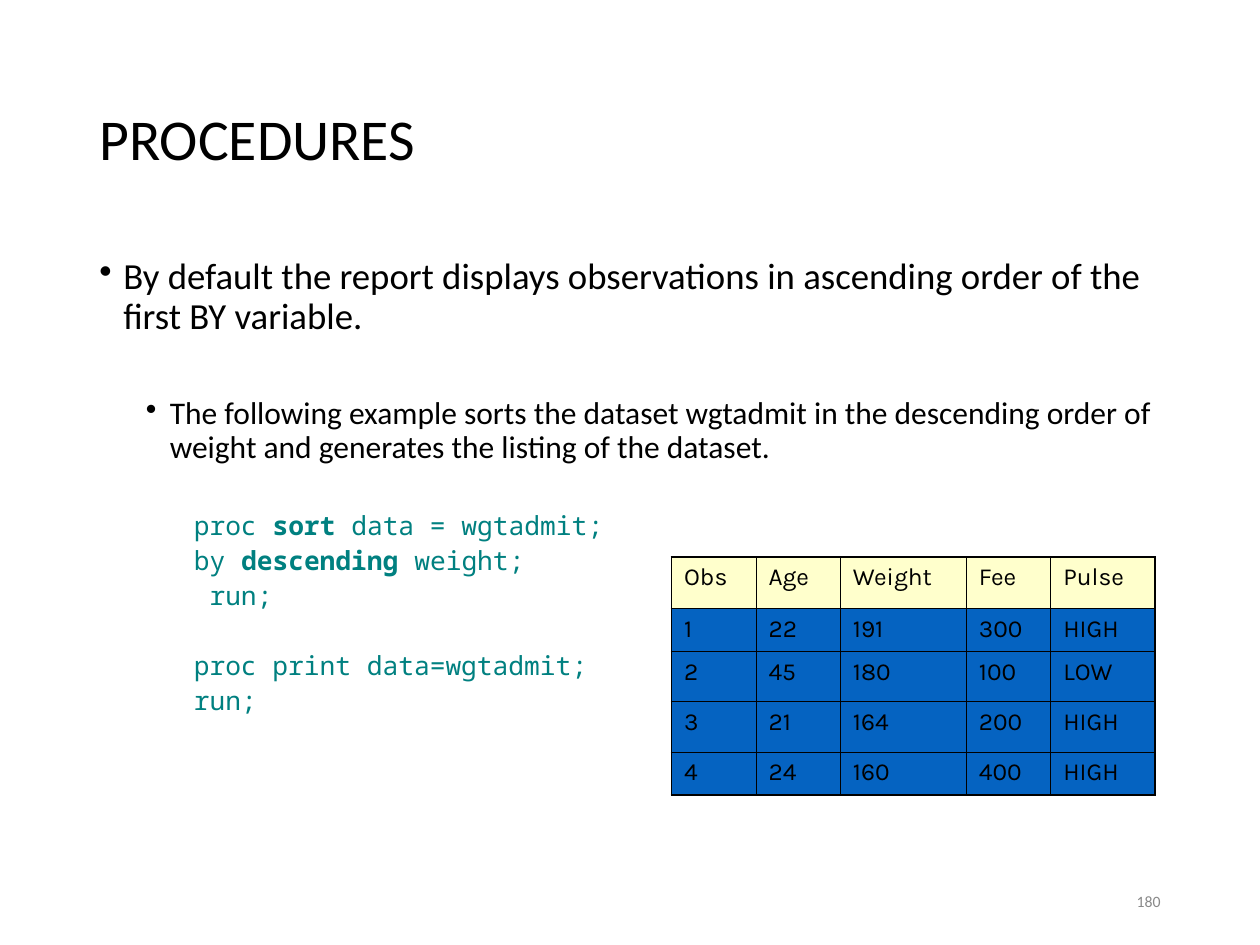
from dataclasses import dataclass

import pptx
import pptx.dml.color
import pptx.enum.text
import pptx.oxml
import pptx.oxml.ns
import pptx.util
from pptx.util import Inches

Color = pptx.dml.color.RGBColor
Align = pptx.enum.text.PP_ALIGN
Anchor = pptx.enum.text.MSO_ANCHOR


@dataclass(frozen=True)
class Style:
    size: float
    font: str = "Calibri"
    color: str = "000000"


@dataclass(frozen=True)
class Theme:
    title: Style = Style(33)
    bullet: Style = Style(21)
    sub_bullet: Style = Style(18)
    code: Style = Style(15, "Noto Sans Mono", "008080")
    page_number: Style = Style(9, color="898989")
    table: Style = Style(14, "Karla")
    header_fill: str = "FFFFCC"
    body_fill: str = "0563C1"
    border: str = "000000"
    inner_border: float = 0.45
    outer_border: float = 1.08


@dataclass(frozen=True)
class Run:
    text: str
    bold: bool = False


@dataclass(frozen=True)
class Line:
    runs: tuple[Run, ...]
    style: Style
    left: float = 0
    hanging: float = 0
    before: float = 0
    spacing: float = 0.9
    bullet: str = ""
    align: Align = Align.LEFT


THEME = Theme()
HANGING = 0.19


def code_line(*runs: Run, before: float = 3.7) -> Line:
    return Line(runs, THEME.code, 0.94, HANGING, before)


BODY = (
    Line((Run("By default the report displays observations in ascending order "
              "of the first BY variable."),),
         THEME.bullet, HANGING, HANGING, bullet="•"),
    Line((Run("The following example sorts the dataset wgtadmit in the descending "
              "order of weight and generates the listing of the dataset."),),
         THEME.sub_bullet, 0.56, HANGING, before=34.3, bullet="•"),
    code_line(Run("proc"), Run(" sort ", True), Run("data = wgtadmit;"), before=27.2),
    code_line(Run("by "), Run("descending", True), Run(" weight;")),
    code_line(Run(" run;")),
    code_line(Run("proc print data=wgtadmit;"), before=23.5),
    code_line(Run("run;")),
)

COLUMN_WIDTHS = (0.67, 0.67, 1, 0.67, 0.83)
ROW_HEIGHTS = (0.41, 0.34, 0.4, 0.4, 0.34)
LISTING = (
    ("Obs", "Age", "Weight", "Fee", "Pulse"),
    ("1", "22", "191", "300", "HIGH"),
    ("2", "45", "180", "100", "LOW"),
    ("3", "21", "164", "200", "HIGH"),
    ("4", "24", "160", "400", "HIGH"),
)


def write_line(paragraph, line: Line) -> None:
    properties = paragraph._p.get_or_add_pPr()
    properties.set("marL", str(Inches(line.left)))
    properties.set("indent", str(-Inches(line.hanging)))
    if line.bullet:
        bullet = pptx.oxml.ns.qn("a:buChar")
        properties.append(properties.makeelement(bullet, {"char": line.bullet}))
    paragraph.alignment = line.align
    paragraph.line_spacing = line.spacing
    paragraph.space_before = pptx.util.Pt(line.before)
    for part in line.runs:
        run = paragraph.add_run()
        run.text = part.text
        run.font.name = line.style.font
        run.font.size = pptx.util.Pt(line.style.size)
        run.font.bold = part.bold
        run.font.color.rgb = Color.from_string(line.style.color)


def add_text(slide, left: float, top: float, width: float, height: float,
             lines: tuple[Line, ...], anchor: Anchor = Anchor.TOP) -> None:
    shape = slide.shapes.add_textbox(
        Inches(left), Inches(top), Inches(width), Inches(height))
    frame = shape.text_frame
    frame.word_wrap = True
    frame.vertical_anchor = anchor
    for index, line in enumerate(lines):
        paragraph = frame.add_paragraph() if index else frame.paragraphs[0]
        write_line(paragraph, line)


def set_borders(cell, outer_sides: dict[str, bool]) -> None:
    properties = cell._tc.get_or_add_tcPr()
    for position, (side, is_outer) in enumerate(outer_sides.items()):
        points = THEME.outer_border if is_outer else THEME.inner_border
        border = pptx.oxml.parse_xml(
            f'<a:ln{side} {pptx.oxml.ns.nsdecls("a")} w="{pptx.util.Pt(points)}">'
            f'<a:solidFill><a:srgbClr val="{THEME.border}"/></a:solidFill>'
            f'</a:ln{side}>')
        properties.insert(position, border)


def add_listing(slide, left: float, top: float) -> None:
    table = slide.shapes.add_table(
        len(ROW_HEIGHTS), len(COLUMN_WIDTHS), Inches(left), Inches(top),
        Inches(sum(COLUMN_WIDTHS)), Inches(sum(ROW_HEIGHTS))).table
    table.first_row = table.horz_banding = False
    for column, width in zip(table.columns, COLUMN_WIDTHS):
        column.width = Inches(width)
    for row, height in zip(table.rows, ROW_HEIGHTS):
        row.height = Inches(height)
    last_row, last_column = len(ROW_HEIGHTS) - 1, len(COLUMN_WIDTHS) - 1
    for row_index, values in enumerate(LISTING):
        fill = THEME.body_fill if row_index else THEME.header_fill
        for column_index, value in enumerate(values):
            cell = table.cell(row_index, column_index)
            cell.fill.solid()
            cell.fill.fore_color.rgb = Color.from_string(fill)
            write_line(cell.text_frame.paragraphs[0],
                       Line((Run(value),), THEME.table, spacing=1.0))
            set_borders(cell, {"L": column_index == 0,
                               "R": column_index == last_column,
                               "T": row_index == 0,
                               "B": row_index == last_row})


def main() -> None:
    presentation = pptx.Presentation()
    presentation.slide_width = Inches(10)
    presentation.slide_height = Inches(7.5)
    slide = presentation.slides.add_slide(presentation.slide_layouts[6])

    # Title and body
    add_text(slide, 0.69, 0.4, 8.63, 1.45,
             (Line((Run("PROCEDURES"),), THEME.title),), Anchor.MIDDLE)
    add_text(slide, 0.69, 2, 8.63, 4.76, BODY)

    # Page number
    add_text(slide, 7.06, 6.95, 2.25, 0.4,
             (Line((Run("180"),), THEME.page_number, spacing=1.0,
                   align=Align.RIGHT),), Anchor.MIDDLE)

    # Printed listing
    add_listing(slide, 5.33, 4.42)

    presentation.save("out.pptx")


if __name__ == "__main__":
    main()
